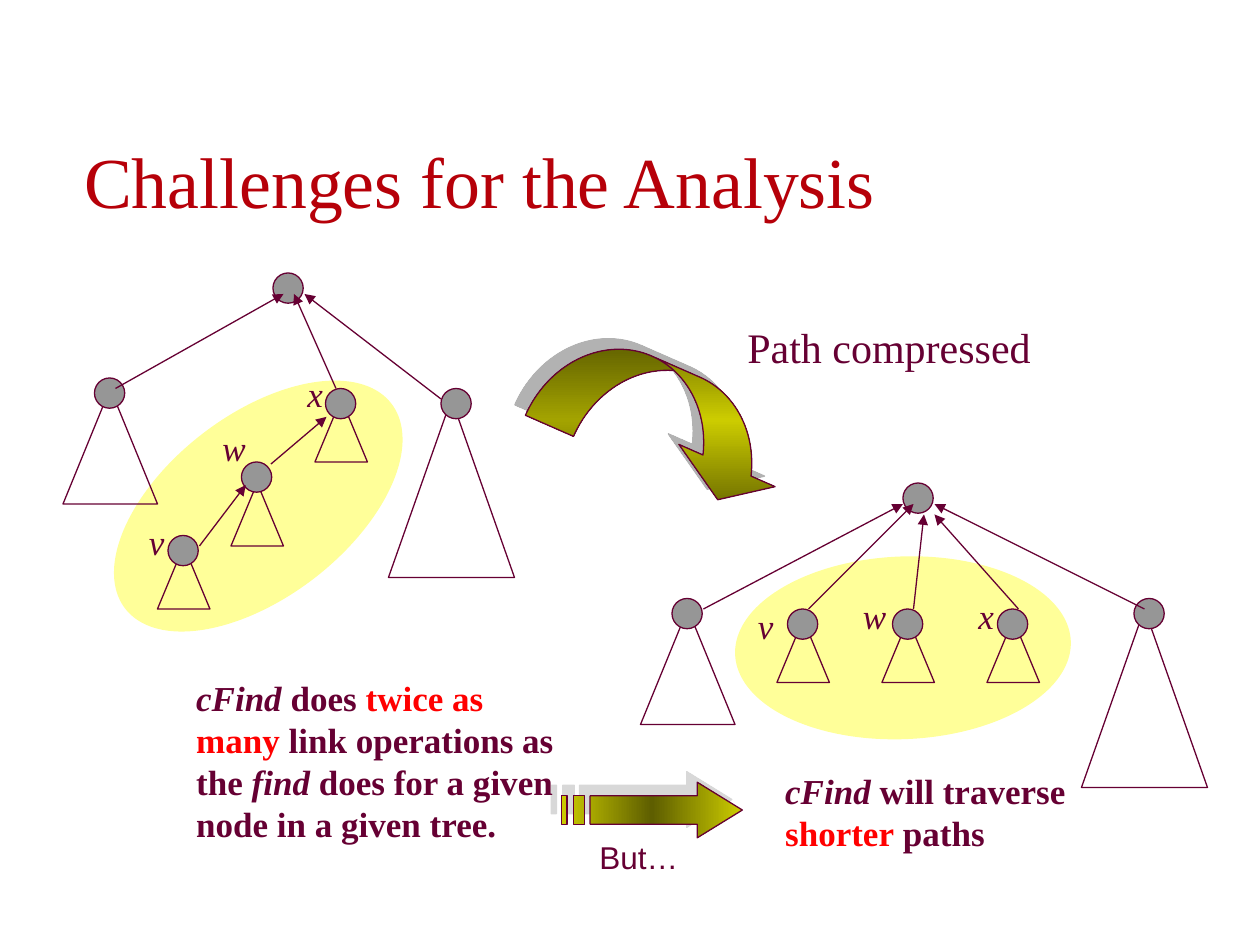
"""Build the path compression slide on a grid of twelfths of an inch."""
from math import floor

from lxml.etree import SubElement
from pptx import Presentation
from pptx.dml.color import RGBColor
from pptx.enum.shapes import MSO_CONNECTOR as CONN, MSO_SHAPE as SHAPE
from pptx.enum.text import MSO_ANCHOR as ANCHOR
from pptx.oxml import parse_xml
from pptx.oxml.ns import nsdecls, qn
from pptx.util import Inches, Pt

COLS, ROWS, NODE = 120, 90, 2.88
THEME = {
    "ink": "660033", "title": "B60009", "hot": "FF0000", "node": "969696",
    "halo": "FFFF99", "olive": "5E5E00", "lime": "CCCC00", "shade": "B2B2B2",
    "line": 0.75, "serif": "Times New Roman", "sans": "Arial",
}
STYLES = {
    "title": {"size": 41, "color": "title"},
    "caption": {"size": 24},
    "label": {"size": 20, "italic": True},
    "but": {"size": 18, "font": "sans"},
    "body": {"size": 20, "bold": True},
    "term": {"size": 20, "bold": True, "italic": True},
    "hot": {"size": 20, "bold": True, "color": "hot"},
}

HALOS = [(70, 53, 357.7), (8.6, 39.5, 322.4)]
SUBTREES = {"large": (12, 17), "medium": (9, 11), "small": (5, 6)}
NODES = [
    (26, 26, None, 0), (9, 36, "medium", 1), (42, 37, "large", 1),
    (31, 37, "small", 1), (23, 44, "small", 2), (16, 51, "small", 1),
    (86, 46, None, 0), (64, 57, "medium", 1), (108, 57, "large", 1),
    (75, 58, "small", 1), (85, 58, "small", 1), (95, 58, "small", 1),
]
LINKS = [
    (11, 37, 27, 28), (19, 52, 23.4, 46.2), (25.8, 44.2, 31.1, 39.7),
    (32, 37, 28, 28), (42, 38, 29, 28), (67, 58, 86, 48),
    (109, 58, 89, 48), (77, 58, 87, 48), (87, 58, 88, 49), (97, 58, 89, 49),
]
LABELS = [("x", 92, 56), ("w", 81, 56), ("v", 71, 57),
          ("v", 13, 49), ("w", 20, 40), ("x", 28.1, 34.9)]
TEXTS = [
    ((6.84, 7.8, 99.1, 14), [("Challenges for the Analysis", "title")]),
    ((70, 30, 44, 6), [("Path compressed", "caption")]),
    ((17.5, 63.8, 38, 17.3), [
        ("cFind", "term"), (" does ", "body"), ("twice as many", "hot"),
        (" link operations as the ", "body"), ("find", "term"),
        (" does for a given node in a given tree.", "body")]),
    ((55.9, 79.2, 14.2, 4.8), [("But…", "but")]),
    ((73.6, 72.7, 30.7, 9.2), [
        ("cFind", "term"), (" will traverse ", "body"),
        ("shorter", "hot"), (" paths", "body")]),
]
CURVED = {"box": (51, 35, 25, 10), "turn": 23.7, "adjust": (0.5, 1, 0.3333)}
STRIPED = [
    [(66.4, 74.5), (66.4, 75.8), (56.2, 75.8), (56.2, 78.5),
     (66.4, 78.5), (66.4, 79.8), (70.7, 77.15)],
    [(54.6, 75.8), (54.6, 78.5), (55.7, 78.5), (55.7, 75.8)],
    [(53.5, 75.8), (53.5, 78.5), (54, 78.5), (54, 75.8)],
]

prs = Presentation()
prs.slide_width, prs.slide_height = Inches(10), Inches(7.5)
s = prs.slides.add_slide(prs.slide_layouts[6])


def rgb(name):
    return RGBColor.from_string(THEME[name])


def grid(*values):
    unit = prs.slide_width / COLS
    return [round(v * unit) for v in values]


def outline(sp):
    sp.line.color.rgb = rgb("ink")
    sp.line.width = Pt(THEME["line"])


def shape(kind, box, fill=None, lined=True):
    sp = s.shapes.add_shape(kind, *grid(*box))
    sp.shadow.inherit = False
    if fill:
        sp.fill.solid()
        sp.fill.fore_color.rgb = rgb(fill)
    else:
        sp.fill.background()
    if lined:
        outline(sp)
    else:
        sp.line.fill.background()
    return sp


def text(box, runs, anchor=ANCHOR.TOP):
    tf = s.shapes.add_textbox(*grid(*box)).text_frame
    tf.word_wrap, tf.vertical_anchor = True, anchor
    for words, style in runs:
        r = tf.paragraphs[0].add_run()
        r.text = words
        look = STYLES[style]
        formats = {"name": THEME[look.get("font", "serif")],
                   "size": Pt(look["size"]),
                   "bold": look.get("bold", False),
                   "italic": look.get("italic", False)}
        for key, value in formats.items():
            setattr(r.font, key, value)
        r.font.color.rgb = rgb(look.get("color", "ink"))


def link(*ends):
    c = s.shapes.add_connector(CONN.STRAIGHT, *grid(*ends))
    outline(c)
    SubElement(c.line._get_or_add_ln(), qn("a:tailEnd"), type="triangle")
    SubElement(c._element.spPr, qn("a:effectLst"))


def gild(sp, ends, middle, angle, opacity):
    outline(sp)
    sp.fill.background()
    stops = "".join(
        f'<a:gs pos="{pos * 1000}"><a:srgbClr val="{THEME[name]}"/></a:gs>'
        for pos, name in ((0, ends), (50, middle), (100, ends)))
    pr = sp._element.spPr
    pr.replace(pr.find(qn("a:noFill")), parse_xml(
        f'<a:gradFill {nsdecls("a")} rotWithShape="0"><a:gsLst>{stops}</a:gsLst>'
        f'<a:lin ang="{angle * 60000}" scaled="0"/></a:gradFill>'))
    sp.shadow.inherit = False
    pr.find(qn("a:effectLst")).append(parse_xml(
        f'<a:outerShdw {nsdecls("a")} blurRad="0" dist="{Pt(8.5)}" '
        f'dir="{225 * 60000}" algn="ctr" rotWithShape="0">'
        f'<a:srgbClr val="{THEME["shade"]}"><a:alpha val="{opacity * 1000}"/>'
        '</a:srgbClr></a:outerShdw>'))


for col, row, turn in HALOS:
    shape(SHAPE.OVAL, (col, row, 32, 17.4), "halo", False).rotation = turn
for col, row, size, drop in NODES:
    if size:
        w, h = SUBTREES[size]
        left = floor(col + 1.5 - w / 2)
        shape(SHAPE.ISOSCELES_TRIANGLE, (left, row + drop, w, h))
for col, row, *_ in NODES:
    shape(SHAPE.OVAL, (col, row, NODE, NODE), "node")
for ends in LINKS:
    link(*ends)
for letter, col, row in LABELS:
    text((col, row, 5, 5.3), [(letter, "label")])

curved = shape(SHAPE.CURVED_DOWN_ARROW, CURVED["box"])
curved.rotation = CURVED["turn"]
for i, value in enumerate(CURVED["adjust"]):
    curved.adjustments[i] = value
gild(curved, "olive", "lime", 90, 100)

contours = [[grid(*point) for point in part] for part in STRIPED]
builder = s.shapes.build_freeform(*contours[0][0])
for i, (start, *rest) in enumerate(contours):
    if i:
        builder.move_to(*start)
    builder.add_line_segments(rest, close=True)
gild(builder.convert_to_shape(), "lime", "olive", 180, 50)

for i, (box, runs) in enumerate(TEXTS):
    text(box, runs, ANCHOR.TOP if i else ANCHOR.BOTTOM)

prs.save("out.pptx")
